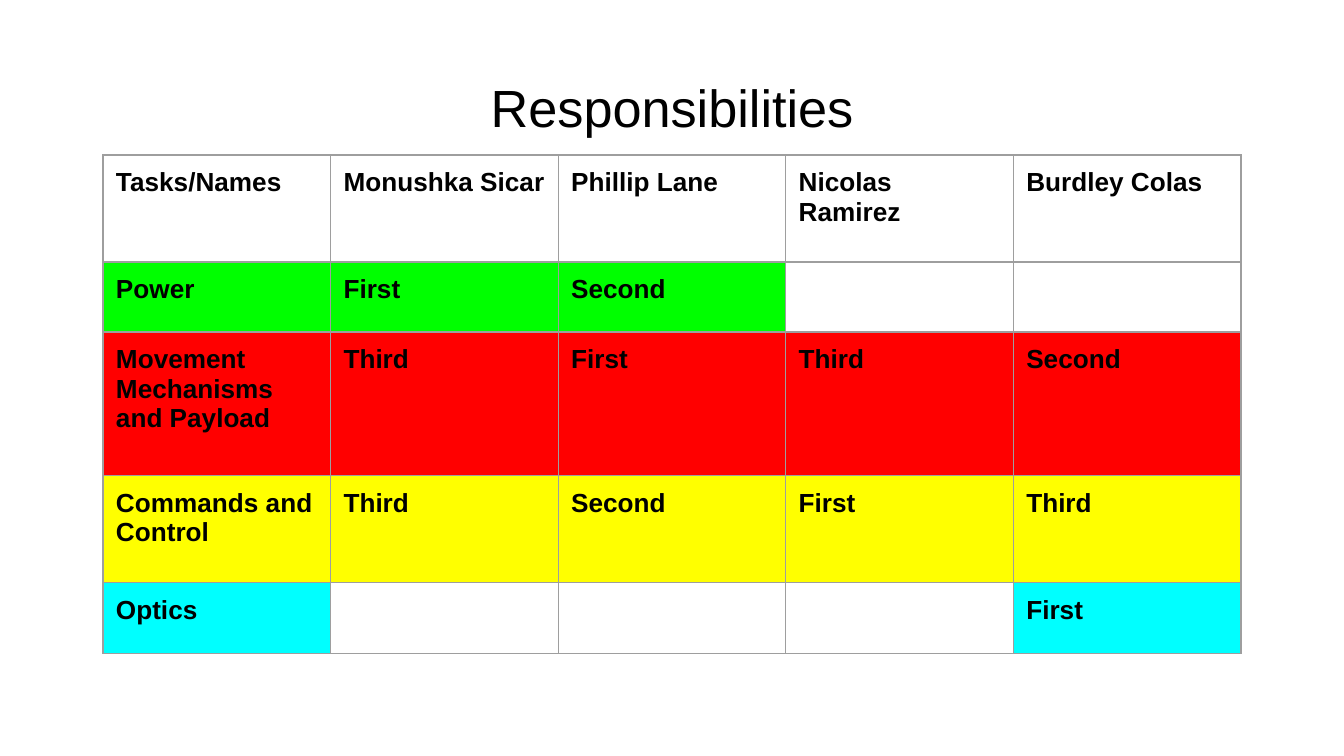
import pptx
import pptx.dml.color
import pptx.enum.text
import pptx.oxml
import pptx.oxml.ns
import pptx.util
from dataclasses import dataclass

TITLE = "Responsibilities"
NAMES = ["Tasks/Names", "Monushka Sicar", "Phillip Lane", "Nicolas Ramirez", "Burdley Colas"]
# Task, row colour, rank of each person
TASKS = [
    ("Power", "00FF00", ["First", "Second", "", ""]),
    ("Movement Mechanisms and Payload", "FF0000", ["Third", "First", "Third", "Second"]),
    ("Commands and Control", "FFFF00", ["Third", "Second", "First", "Third"]),
    ("Optics", "00FFFF", ["", "", "", "First"]),
]


@dataclass(frozen=True)
class Theme:
    font: str = "Arial"
    text: str = "000000"
    border: str = "9E9E9E"
    background: str = "FFFFFF"
    title_size: int = 28
    cell_size: int = 14
    border_width: float = 0.75


THEME = Theme()
SLIDE_SIZE = (1344, 756)
TITLE_BOX = (457, 59, 430, 85)
TABLE_ORIGIN = (103, 155)
COLUMN_WIDTH = 1138 / len(NAMES)
ROW_HEIGHTS = [107, 70, 144, 107, 71]
INSET = 13
TITLE_BOTTOM_INSET = 6


def px(length):
    """Turn px into EMU at 134.4 px to the inch."""
    return pptx.util.Emu(round(length * 914400 / 134.4))


def color(code):
    return pptx.dml.color.RGBColor.from_string(code)


def format_text(text_frame, size, bold=False):
    for paragraph in text_frame.paragraphs:
        for run in paragraph.runs:
            run.font.name = THEME.font
            run.font.size = pptx.util.Pt(size)
            run.font.bold = bold
            run.font.color.rgb = color(THEME.text)


def set_borders(cell):
    properties = cell._tc.get_or_add_tcPr()
    width = pptx.util.Pt(THEME.border_width)
    for side in ("lnL", "lnR", "lnT", "lnB"):
        properties.append(pptx.oxml.parse_xml(
            f'<a:{side} {pptx.oxml.ns.nsdecls("a")} w="{width}"><a:solidFill>'
            f'<a:srgbClr val="{THEME.border}"/></a:solidFill></a:{side}>'))


def add_title(slide):
    title = slide.shapes.title
    title.left, title.top, title.width, title.height = map(px, TITLE_BOX)
    text_frame = title.text_frame
    text_frame.text = TITLE
    text_frame.word_wrap = True
    text_frame.auto_size = pptx.enum.text.MSO_AUTO_SIZE.NONE
    text_frame.vertical_anchor = pptx.enum.text.MSO_ANCHOR.BOTTOM
    text_frame.margin_left = text_frame.margin_right = text_frame.margin_top = px(INSET)
    text_frame.margin_bottom = px(TITLE_BOTTOM_INSET)
    text_frame.paragraphs[0].alignment = pptx.enum.text.PP_ALIGN.CENTER
    format_text(text_frame, THEME.title_size)


def fill_cell(cell, text, fill):
    cell.text_frame.text = text
    format_text(cell.text_frame, THEME.cell_size, bold=True)
    cell.margin_left = cell.margin_right = cell.margin_top = cell.margin_bottom = px(INSET)
    cell.vertical_anchor = pptx.enum.text.MSO_ANCHOR.TOP
    set_borders(cell)
    if fill and text:
        cell.fill.solid()
        cell.fill.fore_color.rgb = color(fill)
    else:
        cell.fill.background()


def add_responsibility_table(slide):
    rows = [(None, NAMES)] + [(fill, [task] + ranks) for task, fill, ranks in TASKS]
    table = slide.shapes.add_table(
        len(rows), len(NAMES), *map(px, TABLE_ORIGIN),
        px(COLUMN_WIDTH * len(NAMES)), px(sum(ROW_HEIGHTS))).table
    table.first_row = table.horz_banding = False
    for column in table.columns:
        column.width = px(COLUMN_WIDTH)
    for row, height, (fill, texts) in zip(table.rows, ROW_HEIGHTS, rows):
        row.height = px(height)
        for cell, text in zip(row.cells, texts):
            fill_cell(cell, text, fill)


def main():
    presentation = pptx.Presentation()
    presentation.slide_width, presentation.slide_height = map(px, SLIDE_SIZE)
    slide = presentation.slides.add_slide(presentation.slide_layouts[5])
    slide.background.fill.solid()
    slide.background.fill.fore_color.rgb = color(THEME.background)
    add_title(slide)
    add_responsibility_table(slide)
    presentation.save("out.pptx")


if __name__ == "__main__":
    main()
